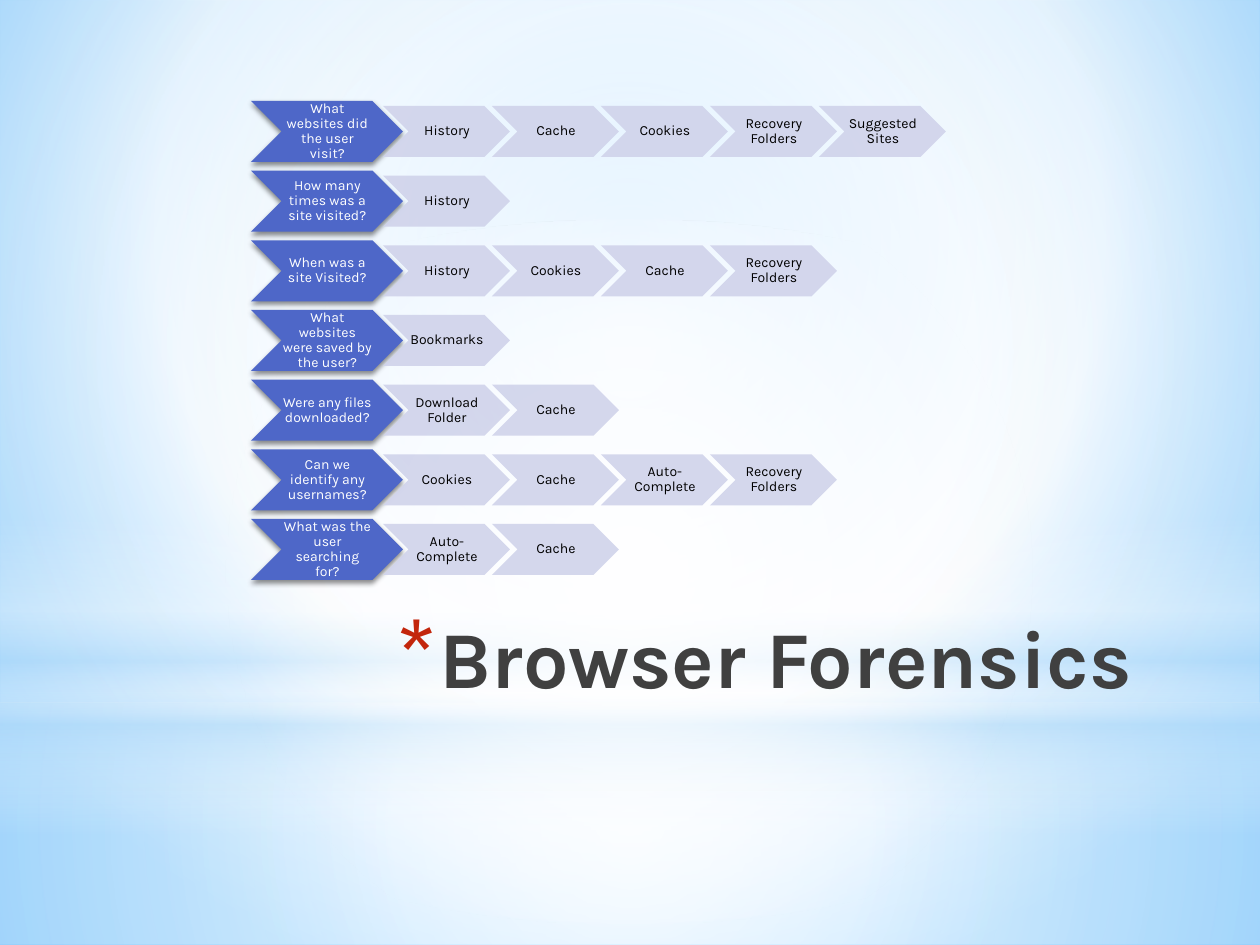
from lxml import etree
from pptx import Presentation
from pptx.dml.color import RGBColor
from pptx.enum.shapes import MSO_SHAPE
from pptx.enum.text import MSO_ANCHOR, PP_ALIGN
from pptx.oxml.ns import nsdecls, qn
from pptx.util import Emu, Pt

RECT, OVAL, CHEVRON = MSO_SHAPE.RECTANGLE, MSO_SHAPE.OVAL, MSO_SHAPE.CHEVRON
CENTER, RIGHT = PP_ALIGN.CENTER, PP_ALIGN.RIGHT
MIDDLE, TOP = MSO_ANCHOR.MIDDLE, MSO_ANCHOR.TOP

FONT = "Karla"
COLORS = {
    "white": "FFFFFF", "black": "000000", "title": "404040", "star": "C3260C",
    "lead": "4E67C8", "step": "D0D3EB",
    "sky": "9ED5FF", "deep": "5BB9FF", "haze": "B4DCFA",
}
TITLE = "Browser Forensics"
QUESTIONS = [
    ("What websites did the user visit?",
     ["History", "Cache", "Cookies", "Recovery Folders", "Suggested Sites"]),
    ("How many times was a site visited?", ["History"]),
    ("When was a site Visited?", ["History", "Cookies", "Cache", "Recovery Folders"]),
    ("What websites were saved by the user?", ["Bookmarks"]),
    ("Were any files downloaded?", ["Download Folder", "Cache"]),
    ("Can we identify any usernames?", ["Cookies", "Cache", "Auto-Complete", "Recovery Folders"]),
    ("What was the user searching for?", ["Auto-Complete", "Cache"]),
]

CENTRE = (50, 50, 50, 50)
BACKDROP = ([(0, "sky", 100), (60, "white", 100), (100, "deep", 100)], (20, 10, 20, 60))
GLOWS = [
    (RECT, (0, 703, 1260, 242),
     [(0, "white", 91), (37, "white", 76), (100, "haze", 79)], CENTRE),
    (RECT, (0, 0, 1260, 703),
     [(0, "white", 89), (48, "white", 62), (100, "haze", 79)], CENTRE),
    (RECT, (0, 519, 1260, 315),
     [(0, "white", 0), (29, "white", 30), (45, "haze", 40),
      (55, "white", 26), (65, "haze", 60), (100, "white", 0)], None),
    (OVAL, (0, 220, 1260, 703), [(0, "white", 100), (56, "white", 0)], CENTRE),
]

LEFT, FIRST_TOP, LAST_TOP = 251, 101, 519
LEAD_W, LEAD_H = 152, 61
STEP_LEFT, STEP_PITCH, STEP_W, STEP_H = 383, 109, 127, 51
ROW_PITCH = (LAST_TOP - FIRST_TOP) / (len(QUESTIONS) - 1)


def px(n):
    return Emu(round(n * 914400 / 126))


def rgb(name):
    return RGBColor.from_string(COLORS[name])


def gradient(stops, focus):
    marks = "".join(
        f'<a:gs pos="{pos * 1000}"><a:srgbClr val="{COLORS[name]}">'
        f'<a:alpha val="{alpha * 1000}"/></a:srgbClr></a:gs>'
        for pos, name, alpha in stops)
    if focus:
        sides = " ".join(f'{k}="{v * 1000}"' for k, v in zip("ltrb", focus))
        way = f'<a:path path="circle"><a:fillToRect {sides}/></a:path>'
    else:
        way = '<a:lin ang="5400000" scaled="0"/>'
    return etree.fromstring(
        f'<a:gradFill {nsdecls("a")} rotWithShape="1"><a:gsLst>{marks}</a:gsLst>{way}</a:gradFill>')


def swap_solid(parent, stops, focus):
    solid = parent.find(qn("a:solidFill"))
    parent.replace(solid, gradient(stops, focus))


def add_shape(kind, box, fill):
    sp = s.shapes.add_shape(kind, *map(px, box))
    sp.shadow.inherit = False
    sp.fill.solid()
    sp.fill.fore_color.rgb = rgb(fill)
    sp.line.fill.background()
    return sp


def write(sp, text, size, color, align, anchor, bold=False):
    tf = sp.text_frame
    tf.word_wrap = True
    tf.vertical_anchor = anchor
    p = tf.paragraphs[0]
    p.alignment = align
    r = p.add_run()
    r.text = text
    r.font.name, r.font.size, r.font.bold = FONT, Pt(size), bold
    r.font.color.rgb = rgb(color)
    return p


def add_chevron(box, fill, text, color):
    sp = add_shape(CHEVRON, box, fill)
    p = write(sp, text, 8, color, CENTER, MIDDLE)
    p.line_spacing = 0.9
    tf = sp.text_frame
    tf.margin_left = tf.margin_top = tf.margin_bottom = px(1)
    tf.margin_right = 0
    return sp


def add_shadow(sp):
    effects = sp._element.spPr.find(qn("a:effectLst"))
    shadow = etree.SubElement(effects, qn("a:outerShdw"), blurRad=str(Pt(3.1)),
                              dist=str(Pt(1.8)), dir="5400000", rotWithShape="0")
    color = etree.SubElement(shadow, qn("a:srgbClr"), val=COLORS["black"])
    etree.SubElement(color, qn("a:alpha"), val="45000")


def set_alpha(sp, percent):
    color = sp._element.spPr.find(qn("a:solidFill"))[0]
    etree.SubElement(color, qn("a:alpha"), val=str(percent * 1000))


def add_bullet(p, char, color, percent, indent):
    pPr = p._p.get_or_add_pPr()
    pPr.set("marL", str(indent))
    pPr.set("indent", str(-indent))
    tint = etree.SubElement(pPr, qn("a:buClr"))
    etree.SubElement(tint, qn("a:srgbClr"), val=COLORS[color])
    etree.SubElement(pPr, qn("a:buSzPct"), val=str(percent * 1000))
    etree.SubElement(pPr, qn("a:buFont"), typeface=FONT)
    etree.SubElement(pPr, qn("a:buChar"), char=char)


prs = Presentation()
prs.slide_width, prs.slide_height = px(1260), px(945)
s = prs.slides.add_slide(prs.slide_layouts[6])

s.background.fill.solid()
swap_solid(s._element.cSld.find(qn("p:bg")).find(qn("p:bgPr")), *BACKDROP)
for kind, box, stops, focus in GLOWS:
    swap_solid(add_shape(kind, box, "white")._element.spPr, stops, focus)

title = s.shapes.add_textbox(*map(px, (247, 602, 897, 158)))
p = write(title, TITLE, 46, "title", RIGHT, TOP, bold=True)
add_bullet(p, "*", "star", 128, px(44))

for row, (question, sources) in enumerate(QUESTIONS):
    top = FIRST_TOP + row * ROW_PITCH
    lead = add_chevron((LEFT, top, LEAD_W, LEAD_H), "lead", question, "white")
    add_shadow(lead)
    for col, source in enumerate(sources):
        box = (STEP_LEFT + col * STEP_PITCH, top + (LEAD_H - STEP_H) / 2, STEP_W, STEP_H)
        set_alpha(add_chevron(box, "step", source, "black"), 90)

prs.save("out.pptx")
